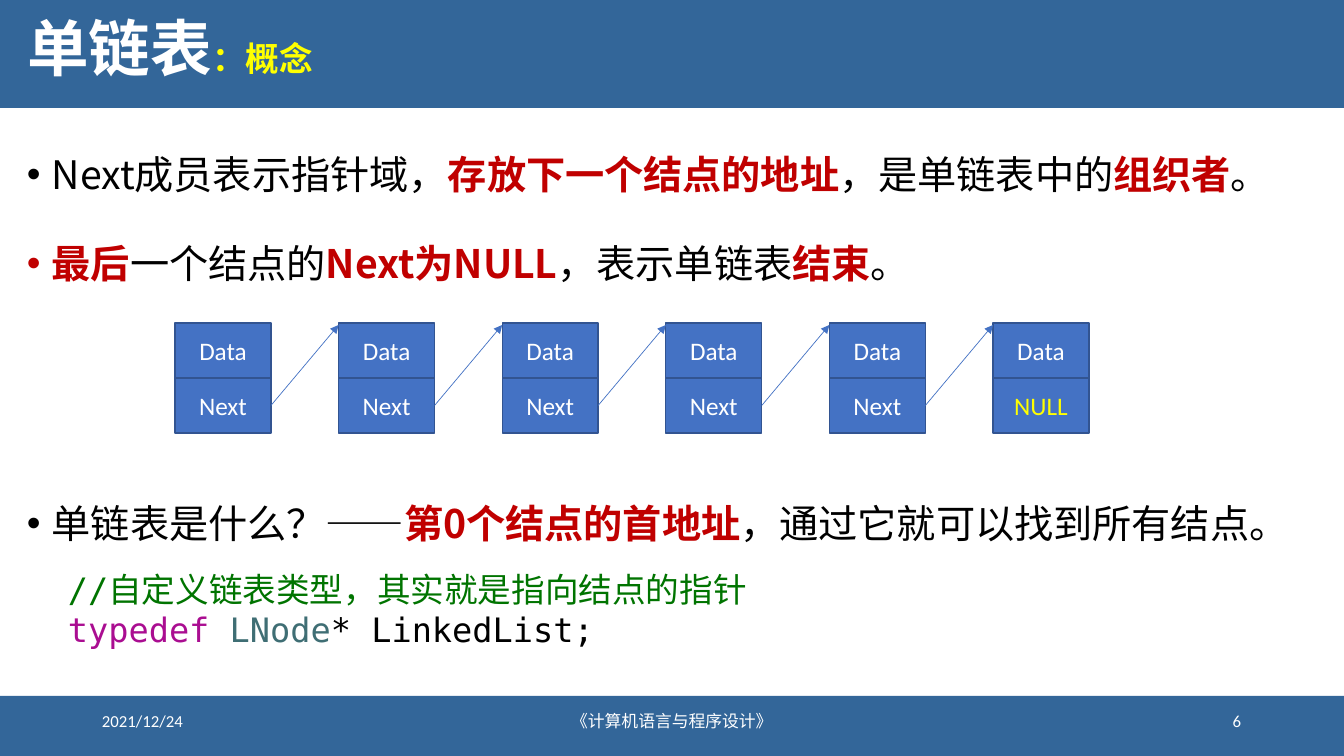
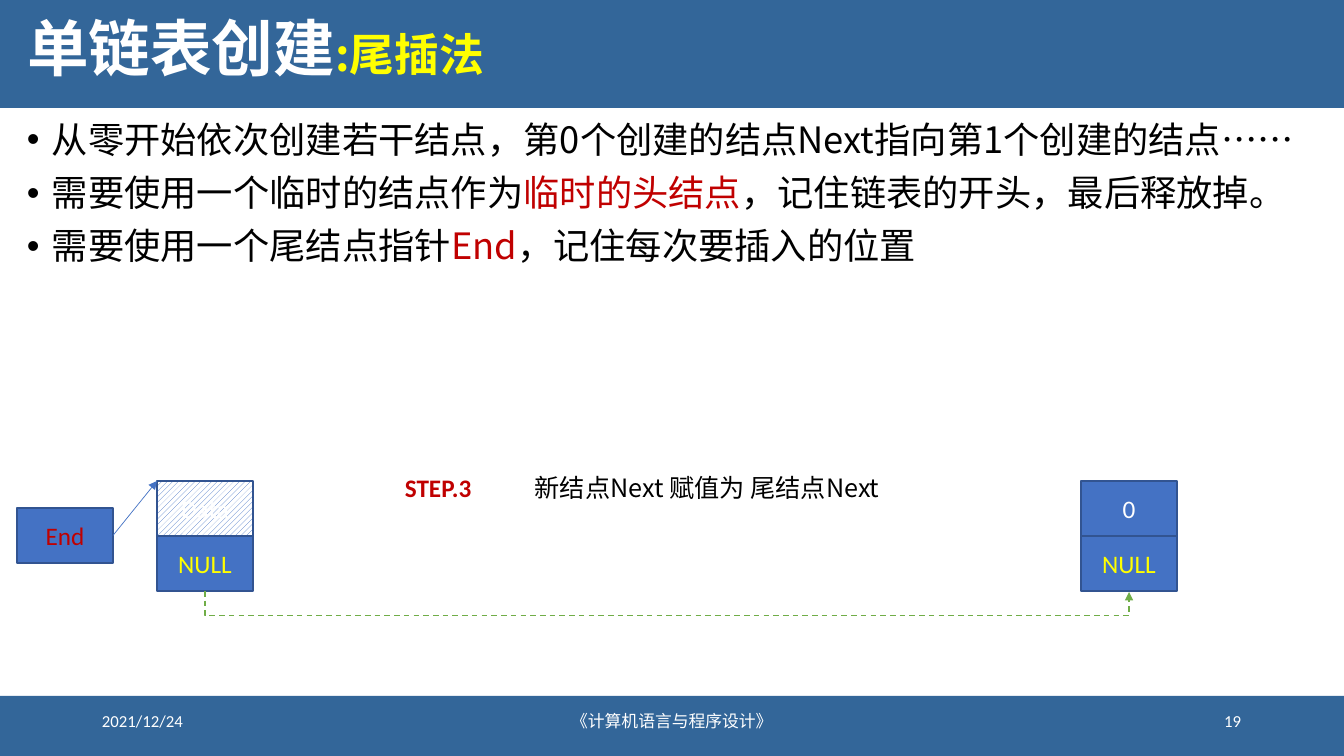
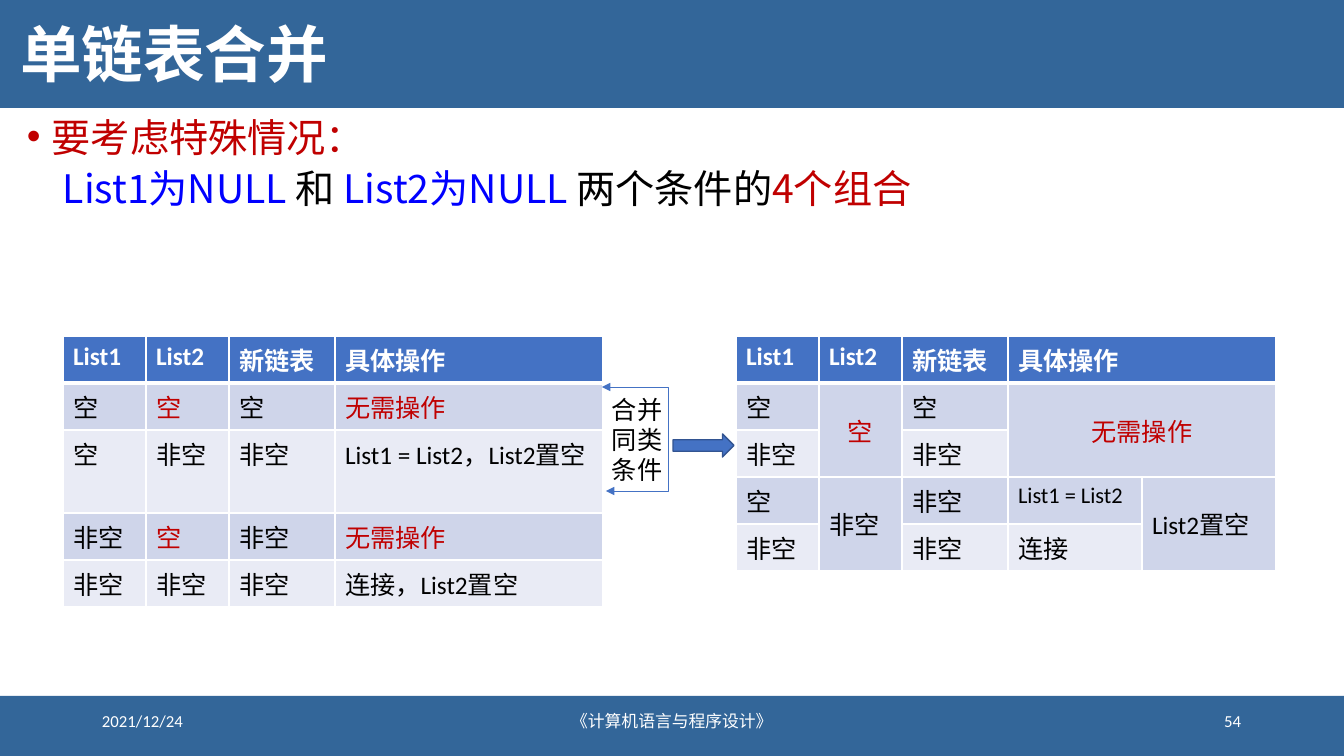
from dataclasses import dataclass

from lxml.etree import SubElement
from pptx import Presentation
from pptx.dml.color import RGBColor
from pptx.enum.dml import MSO_LINE as Dash, MSO_PATTERN as Pattern
from pptx.enum.shapes import MSO_CONNECTOR as Link, MSO_SHAPE as Shape
from pptx.enum.text import MSO_ANCHOR as Anchor, MSO_AUTO_SIZE as AutoSize, PP_ALIGN as Align
from pptx.oxml.ns import qn
from pptx.util import Emu, Pt


@dataclass(frozen=True)
class Theme:
    band: str = "336699"
    cell: str = "4472C4"
    edge: str = "325491"
    white: str = "FFFFFF"
    black: str = "000000"
    red: str = "C00000"
    yellow: str = "FFFF00"
    blue: str = "0000FF"
    green: str = "70AD47"
    odd_row: str = "CFD5EA"
    even_row: str = "E9EBF5"
    comment: str = "007400"
    keyword: str = "AA0D91"
    type_name: str = "3F6E74"
    sans: str = "Calibri"
    cjk: str = "Noto Sans CJK SC"
    mono: str = "DejaVu Sans Mono"
    title: float = 44
    body: float = 28
    dense_body: float = 25.9
    code: float = 24
    label: float = 18
    small_label: float = 16
    footer: float = 12


THEME = Theme()
SLIDE_SIZE = (1344, 756)
EMU_PER_PX = 12192000 / 1344
NODE_WIDTH, CELL_HEIGHT = 96, 55
BULLET_INDENT = 25


def line(*spans, **style):
    """One paragraph: spans are strings or (text, style) pairs."""
    return spans, style


def tint(text, color, **style):
    return text, dict(color=color, **style)


def red(text, **style):
    return tint(text, THEME.red, **style)


# Content
BANDS = [(0, 0, 1344, 108), (0, 696, 1344, 60)]
FOOTERS = [
    ("2021/12/24", (92, 701, 302, 40), Align.LEFT),
    ("《计算机语言与程序设计》", (445, 701, 454, 40), Align.CENTER),
]
NUMBER_BOX = (949, 701, 302, 40)
TITLE_BOX = (17, 0, 1297, 104)
MERGE_TITLE_BOX = (10, 12, 1242, 92)

CONCEPT_TITLE = line("单链表", tint("：概念", THEME.yellow, size=24))
CONCEPT_POINTS = [
    line("Next成员表示指针域，", red("存放下一个结点的地址", bold=True),
         "，是单链表中的", red("组织者", bold=True), "。"),
    line(red("最后", bold=True), "一个结点的", red("Next为NULL", bold=True),
         "，表示单链表", red("结束", bold=True), "。"),
]
CONCEPT_ANSWER = [
    line("单链表是什么？——", red("第0个结点的首地址", bold=True),
         "，通过它就可以找到所有结点。"),
]
CONCEPT_CODE = [
    line(tint("//自定义链表类型，其实就是指向结点的指针", THEME.comment)),
    line(tint("typedef ", THEME.keyword), tint("LNode", THEME.type_name), "* LinkedList;"),
]
CHAIN = [("Data", "Next")] * 5 + [("Data", "NULL")]
CHAIN_FIRST, CHAIN_LAST, CHAIN_TOP = 175, 993, 323

CREATE_TITLE = line("单链表创建", tint(":尾插法", THEME.yellow, size=32))
CREATE_POINTS = [
    line("从零开始依次创建若干结点，第0个创建的结点Next指向第1个创建的结点……"),
    line("需要使用一个临时的结点作为", red("临时的头结点"), "，记住链表的开头，最后释放掉。"),
    line("需要使用一个尾结点指针", red("End"), "，记住每次要插入的位置"),
]
INSERT_TOP, HEAD_LEFT, NEW_LEFT = 481, 157, 1081

MERGE_TITLE = line("单链表合并")
MERGE_POINTS = [
    line(red("要考虑特殊情况：")),
    line(tint("List1为NULL ", THEME.blue), "和 ", tint("List2为NULL ", THEME.blue),
         "两个条件的", red("4个组合"), bullet=False, indent=36),
]
HEADER = ["List1", "List2", "新链表", "具体操作"]
ALL_CASES = [
    HEADER,
    ["空", red("空"), "空", red("无需操作")],
    ["空", "非空", "非空", "List1 = List2，List2置空"],
    ["非空", red("空"), "非空", red("无需操作")],
    ["非空", "非空", "非空", "连接，List2置空"],
]
MERGED_CASES = [
    HEADER + [None],
    ["空", red("空"), "空", red("无需操作"), None],
    ["非空", None, "非空", None, None],
    ["空", "非空", "非空", ("List1 = List2", dict(size=THEME.small_label)), "List2置空"],
    ["非空", None, "非空", "连接", None],
]
# (row, column): (rows, columns, alignment)
MERGED_SPANS = {
    (0, 3): (1, 2, Align.LEFT),
    (1, 1): (2, 1, Align.CENTER),
    (1, 3): (2, 2, Align.CENTER),
    (3, 1): (2, 1, Align.LEFT),
    (3, 4): (2, 1, Align.LEFT),
}
TABLE_TOP, ROW_HEIGHT, TWO_LINE_ROW = 336, 47, 83
ALL_HEIGHTS = [ROW_HEIGHT] * 2 + [TWO_LINE_ROW] + [ROW_HEIGHT] * 2
MERGED_HEIGHTS = [ROW_HEIGHT] * 5


def px(value):
    return Emu(round(value * EMU_PER_PX))


def scaled(values):
    return [px(value) for value in values]


def rgb(color):
    return RGBColor.from_string(color)


def write(frame, lines, *, size=THEME.label, font=THEME.sans, color=THEME.black, bold=False,
          align=Align.LEFT, spacing=None, before=0, bullet=False, indent=0):
    """Fill a text frame; styles on a line or span override the keywords."""
    for index, (spans, own) in enumerate(lines):
        para = frame.paragraphs[0] if index == 0 else frame.add_paragraph()
        props = para._p.get_or_add_pPr()
        props.set("marL", str(px(own.get("indent", indent))))
        if own.get("bullet", bullet):
            props.set("indent", str(-px(BULLET_INDENT)))
            SubElement(props, qn("a:buFont")).set("typeface", "Arial")
            SubElement(props, qn("a:buChar")).set("char", "•")
        else:
            props.set("indent", "0")
        para.alignment = align
        if spacing:
            para.line_spacing = spacing
        if index and before:
            para.space_before = Pt(before)
        for item in spans:
            text, style = (item, {}) if isinstance(item, str) else item
            span = para.add_run()
            span.text = text
            span.font.name = font
            SubElement(span._r.get_or_add_rPr(), qn("a:ea")).set("typeface", THEME.cjk)
            span.font.size = Pt(style.get("size", size))
            span.font.bold = style.get("bold", bold)
            span.font.color.rgb = rgb(style.get("color", color))


def add_text(slide, box, lines, wrap=True, anchor=Anchor.TOP, **style):
    shape = slide.shapes.add_textbox(*scaled(box))
    shape.text_frame.word_wrap = wrap
    shape.text_frame.vertical_anchor = anchor
    write(shape.text_frame, lines, **style)
    return shape


def add_bullets(slide, box, lines, size=THEME.body, spacing=0.9):
    add_text(slide, box, lines, size=size, font=THEME.cjk, spacing=spacing,
             before=10, bullet=True, indent=BULLET_INDENT)


def add_footer(slide, text, box, align):
    return add_text(slide, box, [line(text)], anchor=Anchor.MIDDLE, size=THEME.footer,
                    color=THEME.white, align=align)


def add_block(slide, box, fill=THEME.cell, edge=THEME.edge, kind=Shape.RECTANGLE):
    shape = slide.shapes.add_shape(kind, *scaled(box))
    shape.shadow.inherit = False
    shape.fill.solid()
    shape.fill.fore_color.rgb = rgb(fill)
    if edge:
        shape.line.color.rgb = rgb(edge)
        shape.line.width = Pt(1)
    else:
        shape.line.fill.background()
    return shape


def add_cell(slide, left, top, text, color=THEME.white):
    shape = add_block(slide, (left, top, NODE_WIDTH, CELL_HEIGHT))
    shape.text_frame.vertical_anchor = Anchor.MIDDLE
    write(shape.text_frame, [line(text)], color=color, align=Align.CENTER)
    return shape


def add_node(slide, left, top, labels):
    """Stack the data cell on the pointer cell and return both."""
    return [add_cell(slide, left, top + row * CELL_HEIGHT, text,
                     THEME.yellow if text == "NULL" else THEME.white)
            for row, text in enumerate(labels)]


def style_link(link, color=THEME.cell, width=0.5, dash=None, both=False):
    link.line.color.rgb = rgb(color)
    link.line.width = Pt(width)
    if dash:
        link.line.dash_style = dash
    for end in ("a:headEnd", "a:tailEnd") if both else ("a:tailEnd",):
        SubElement(link.line._get_or_add_ln(), qn(end)).set("type", "triangle")
    SubElement(link._element.spPr, qn("a:effectLst"))


def point_from(slide, cell, left, top):
    """Arrow from the middle of a cell's right side to a point."""
    link = slide.shapes.add_connector(Link.STRAIGHT, 0, 0, px(left), px(top))
    link.begin_connect(cell, 3)
    style_link(link)


def bend(link, ratio):
    """Place the middle segment at a multiple of the connector's width."""
    guides = link._element.spPr.find(qn("a:prstGeom")).get_or_add_avLst()
    guide = SubElement(guides, qn("a:gd"))
    guide.set("name", "adj1")
    guide.set("fmla", f"val {round(ratio * 100000)}")


def link_below(slide, source, target, depth):
    """Dashed elbow from the bottom of one cell to the bottom of one further right."""
    link = slide.shapes.add_connector(Link.ELBOW, 0, 0, px(1), px(1))
    link.begin_connect(source, 2)
    link.end_connect(target, 2)
    start, end, level = link.begin_x, link.end_x, link.begin_y
    thin, length = px(1), end - start
    link.left, link.top = (start + end - thin) // 2, level + (thin - length) // 2
    link.width, link.height = thin, length
    frame = link._element.spPr.find(qn("a:xfrm"))
    for name, value in (("rot", "16200000"), ("flipH", "1"), ("flipV", "0")):
        frame.set(name, value)
    bend(link, depth)
    style_link(link, THEME.green, 1, Dash.DASH)


def border(cell, bottom=1, top=1):
    props = cell._tc.get_or_add_tcPr()
    for index, (side, width) in enumerate((("L", 1), ("R", 1), ("T", top), ("B", bottom))):
        edge = SubElement(props, qn(f"a:ln{side}"))
        edge.set("w", str(Pt(width)))
        SubElement(SubElement(edge, qn("a:solidFill")), qn("a:srgbClr")).set("val", THEME.white)
        props.insert(index, edge)


def add_grid(slide, left, widths, heights, rows, spans):
    box = (left, TABLE_TOP, sum(widths), sum(heights))
    table = slide.shapes.add_table(len(rows), len(widths), *scaled(box)).table
    table.horz_banding = False
    for column, width in zip(table.columns, widths):
        column.width = px(width)
    for row, (height, items) in enumerate(zip(heights, rows)):
        table.rows[row].height = px(height)
        header = row == 0
        fill = THEME.cell if header else THEME.odd_row if row % 2 else THEME.even_row
        for column, item in enumerate(items):
            cell = table.cell(row, column)
            cell.fill.solid()
            cell.fill.fore_color.rgb = rgb(fill)
            border(cell, bottom=3 if header else 1, top=3 if row == 1 else 1)
            high, wide, align = spans.get((row, column), (1, 1, Align.LEFT))
            if high * wide > 1:
                cell.merge(table.cell(row + high - 1, column + wide - 1))
            if high > 1:
                cell.vertical_anchor = Anchor.MIDDLE
            if item:
                write(cell.text_frame, [line(item)], bold=header, align=align,
                      color=THEME.white if header else THEME.black)


def add_slide(deck, title, number, box=TITLE_BOX):
    slide = deck.slides.add_slide(deck.slide_layouts[5])
    heading = slide.shapes.title
    heading.left, heading.top, heading.width, heading.height = scaled(box)
    heading.text_frame.auto_size = AutoSize.NONE
    heading.text_frame.vertical_anchor = Anchor.MIDDLE
    write(heading.text_frame, [title], size=THEME.title, font=THEME.cjk, color=THEME.white,
          bold=True, spacing=0.9)
    add_footer(slide, str(number), NUMBER_BOX, Align.RIGHT)
    return slide


def furnish_layout(slide):
    """Draw the bands and fixed footers, then move them to the slide's layout."""
    layout = slide.slide_layout
    for holder in list(layout.placeholders)[1:]:
        holder.element.getparent().remove(holder.element)
    parts = [add_block(slide, box, THEME.band, None) for box in BANDS]
    parts += [add_footer(slide, *footer) for footer in FOOTERS]
    for part in parts:
        layout.shapes.element.append(part.element)


def build_concept(deck):
    slide = add_slide(deck, CONCEPT_TITLE, 6)
    furnish_layout(slide)
    add_bullets(slide, (17, 117, 1297, 180), CONCEPT_POINTS, spacing=1.6)
    step = (CHAIN_LAST - CHAIN_FIRST) / (len(CHAIN) - 1)
    lefts = [CHAIN_FIRST + step * index for index in range(len(CHAIN))]
    nodes = [add_node(slide, left, CHAIN_TOP, labels) for left, labels in zip(lefts, CHAIN)]
    for (_, pointer), left in zip(nodes, lefts[1:]):
        point_from(slide, pointer, left, CHAIN_TOP + 2)
    add_bullets(slide, (17, 466, 1297, 80), CONCEPT_ANSWER, spacing=1.6)
    add_text(slide, (58, 564, 778, 92), CONCEPT_CODE, size=THEME.code, font=THEME.mono)


def build_create(deck):
    slide = add_slide(deck, CREATE_TITLE, 19)
    add_bullets(slide, (17, 117, 1297, 172), CREATE_POINTS, size=THEME.dense_body)
    head_data, head_next = add_node(slide, HEAD_LEFT, INSERT_TOP, ("Data", "NULL"))
    head_data.fill.patterned()
    head_data.fill.pattern = Pattern.WIDE_UPWARD_DIAGONAL
    head_data.fill.fore_color.rgb = rgb(THEME.cell)
    head_data.fill.back_color.rgb = rgb(THEME.white)
    _, new_next = add_node(slide, NEW_LEFT, INSERT_TOP, ("0", "NULL"))
    end_cell = add_cell(slide, 17, 508, "End", THEME.red)
    point_from(slide, end_cell, HEAD_LEFT, INSERT_TOP)
    link_below(slide, head_next, new_next, 25)
    add_text(slide, (395, 467, 88, 40), [line("STEP.3")], wrap=False, color=THEME.red, bold=True)
    add_text(slide, (519, 467, 376, 40), [line("新结点Next 赋值为 尾结点Next")],
             font=THEME.cjk, align=Align.CENTER)


def build_merge(deck):
    slide = add_slide(deck, MERGE_TITLE, 54, MERGE_TITLE_BOX)
    add_bullets(slide, (17, 117, 1297, 109), MERGE_POINTS, spacing=0.8)
    add_grid(slide, 63, (83, 83, 106, 268), ALL_HEIGHTS, ALL_CASES, {})
    add_grid(slide, 736, (83, 83, 106, 134, 134), MERGED_HEIGHTS, MERGED_CASES, MERGED_SPANS)
    bracket = slide.shapes.add_connector(Link.ELBOW, *scaled((606, 491, 602, 387)))
    bend(bracket, -15.5)
    style_link(bracket, both=True)
    add_text(slide, (602, 389, 72, 102), [line("合并"), line("同类"), line("条件")], wrap=False)
    add_block(slide, (673, 434, 61, 23), kind=Shape.RIGHT_ARROW)


def main():
    deck = Presentation()
    deck.slide_width, deck.slide_height = scaled(SLIDE_SIZE)
    for build in (build_concept, build_create, build_merge):
        build(deck)
    deck.save("out.pptx")


if __name__ == "__main__":
    main()
